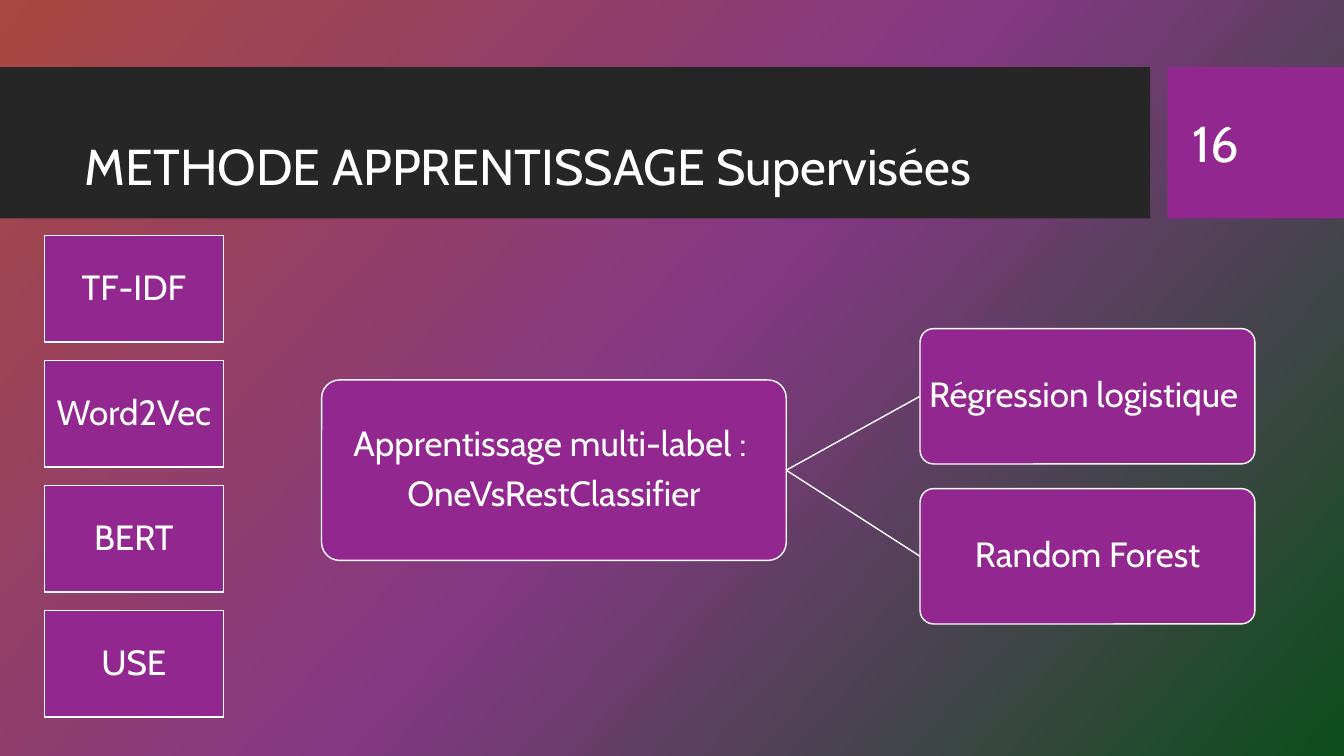
from copy import deepcopy
from dataclasses import dataclass

from lxml.etree import SubElement
from pptx import Presentation
from pptx.dml.color import RGBColor
from pptx.enum.shapes import MSO_CONNECTOR, MSO_SHAPE
from pptx.enum.text import MSO_ANCHOR, PP_ALIGN
from pptx.oxml.ns import qn
from pptx.shapes.autoshape import Shape
from pptx.slide import Slide
from pptx.util import Pt

WHITE = "FFFFFF"
PURPLE = "92278F"
DARK = "262626"
BACKDROP = [(0, "A84842"), (0.5, "843883"), (1, "0C4E1A")]


@dataclass
class Block:
    left: float
    top: float
    width: float
    height: float
    lines: list[str]
    fill: str = PURPLE
    outlined: bool = True
    rounded: bool = False
    insets: tuple[float, float, float, float] = (1.5, 1.5, 1.5, 1.5)


def colour(value: str) -> RGBColor:
    return RGBColor.from_string(value)


def paint_backdrop(page: Slide) -> None:
    fill = page.background.fill
    fill.gradient()
    fill.gradient_angle = 318
    stop_list = page.element.find(".//" + qn("a:gsLst"))
    stop_list.append(deepcopy(stop_list[-1]))
    for stop, (position, value) in zip(fill.gradient_stops, BACKDROP):
        stop.position = position
        stop.color.rgb = colour(value)


def write(box: Shape, lines: list[str], *, size: float = 25,
          align: PP_ALIGN = PP_ALIGN.CENTER,
          anchor: MSO_ANCHOR = MSO_ANCHOR.MIDDLE,
          line_spacing: float = 0.9, space_after: float = 8.75) -> None:
    frame = box.text_frame
    frame.word_wrap = True
    frame.vertical_anchor = anchor
    for index, line in enumerate(lines):
        para = frame.add_paragraph() if index else frame.paragraphs[0]
        para.alignment = align
        para.line_spacing = line_spacing
        para.space_after = Pt(space_after)
        span = para.add_run()
        span.text = line
        span.font.name = "Cabin"
        span.font.size = Pt(size)
        span.font.color.rgb = colour(WHITE)


def draw_block(page: Slide, block: Block, **text_format) -> Shape:
    kind = MSO_SHAPE.ROUNDED_RECTANGLE if block.rounded else MSO_SHAPE.RECTANGLE
    box = page.shapes.add_shape(kind, Pt(block.left), Pt(block.top),
                                Pt(block.width), Pt(block.height))
    box.shadow.inherit = False
    if block.rounded:
        box.adjustments[0] = 0.1
    box.fill.solid()
    box.fill.fore_color.rgb = colour(block.fill)
    if block.outlined:
        box.line.color.rgb = colour(WHITE)
        box.line.width = Pt(1)
    else:
        box.line.fill.background()
    frame = box.text_frame
    (frame.margin_left, frame.margin_top,
     frame.margin_right, frame.margin_bottom) = map(Pt, block.insets)
    write(box, block.lines, **text_format)
    return box


def join(page: Slide, source: Shape, target: Shape) -> None:
    link = page.shapes.add_connector(MSO_CONNECTOR.STRAIGHT, 0, 0, 0, 0)
    link.begin_connect(source, 3)
    link.end_connect(target, 1)
    link.line.color.rgb = colour(WHITE)
    link.line.width = Pt(1)
    SubElement(link.element.spPr, qn("a:effectLst"))


def main() -> None:
    deck = Presentation()
    deck.slide_width, deck.slide_height = Pt(960), Pt(540)
    page = deck.slides.add_slide(deck.slide_layouts[6])
    paint_backdrop(page)

    title = Block(0, 48, 821.6, 108, ["METHODE APPRENTISSAGE Supervisées"],
                  fill=DARK, outlined=False, insets=(60.5, 0, 0, 15.8))
    draw_block(page, title, size=36, align=PP_ALIGN.LEFT,
               anchor=MSO_ANCHOR.BOTTOM, space_after=0)
    number = Block(833.8, 48, 126.2, 108, ["16"],
                   outlined=False, insets=(18, 0, 0, 0))
    draw_block(page, number, size=36, align=PP_ALIGN.LEFT,
               line_spacing=1, space_after=0)

    method = draw_block(page, Block(
        229.7, 271.4, 331.9, 128.9,
        ["Apprentissage multi-label : ", "OneVsRestClassifier"], rounded=True))
    for row, name in enumerate(["Régression logistique ", "Random Forest"]):
        model = draw_block(page, Block(657.2, 234.7 + 114.3 * row, 239.2, 96.7,
                                       [name], rounded=True))
        join(page, method, model)

    for row, name in enumerate(["TF-IDF", "Word2Vec", "BERT", "USE"]):
        draw_block(page, Block(31.7, 168 + 89.3 * row, 127.8, 76.4,
                               [name], insets=(7, 7, 7, 7)))

    deck.save("out.pptx")


if __name__ == "__main__":
    main()
